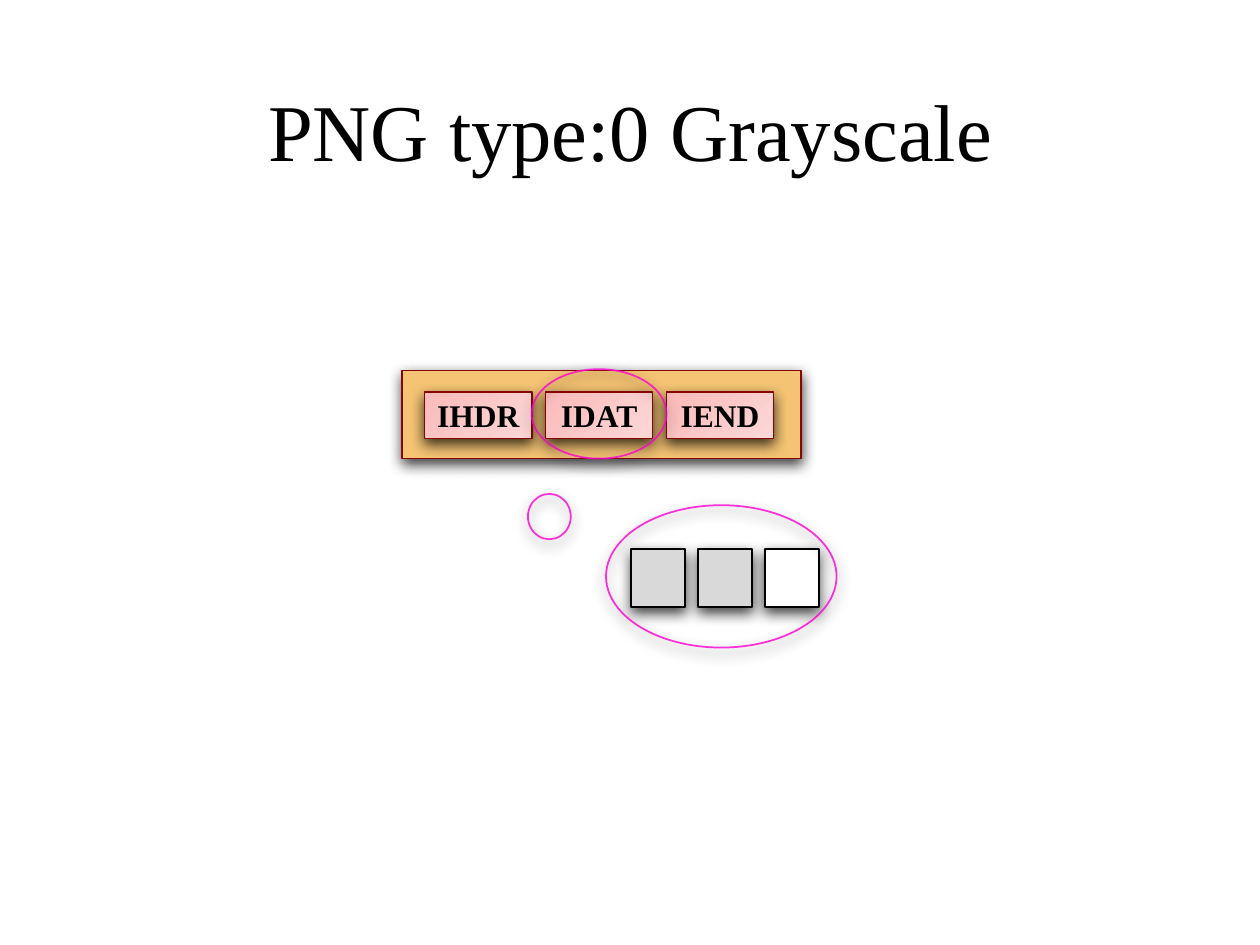
from lxml.etree import SubElement
from pptx import Presentation
from pptx.dml.color import RGBColor
from pptx.enum.shapes import MSO_SHAPE as SHAPE
from pptx.enum.text import MSO_ANCHOR as ANCHOR, PP_ALIGN as ALIGN
from pptx.oxml.ns import qn
from pptx.util import Inches, Pt

COLORS = {
    "text": "000000", "pixel_line": "000000", "shadow": "000000",
    "gray": "D9D9D9", "white": "FFFFFF",
    "file": "F4C373", "file_line": "860605",
    "chunk_light": "FCD7D7", "chunk_dark": "FBBABA",
    "highlight": "FF00D3",
}
FONT = "Times New Roman"

TITLE = "PNG type:0 Grayscale"
TITLE_BOX = (1, 0.55, 8, 0.95)
PIXELS = ["gray", "gray", "white"]
PIXEL_BOX, PIXEL_STEP = (5.01, 4.36, 0.43, 0.46), 0.53
FILE_BOX = (3.19, 2.94, 3.17, 0.7)
CHUNKS = ["IHDR", "IDAT", "IEND"]
CHUNK_BOX, CHUNK_STEP = (3.37, 3.11, 0.85, 0.37), 0.96
HIGHLIGHTS = [
    (4.22, 2.93, 1.07, 0.71),
    (4.19, 3.92, 0.34, 0.36),
    (4.81, 4.01, 1.83, 1.13),
]


def rgb(name):
    return RGBColor.from_string(COLORS[name])


def shifted(box, step, i):
    left, *rest = box
    return (left + i * step, *rest)


def add_alpha(color_el, percent):
    SubElement(color_el, qn("a:alpha"), val=str(percent * 1000))


def add_shadow(s):
    s.shadow.inherit = False
    effects = s._element.spPr.find(qn("a:effectLst"))
    outer = SubElement(effects, qn("a:outerShdw"), blurRad=str(Pt(8)),
                       dist=str(Pt(3)), dir=str(90 * 60000), rotWithShape="0")
    add_alpha(SubElement(outer, qn("a:srgbClr"), val=COLORS["shadow"]), 75)


def add_outlined(kind, box, line, fill=None):
    s = slide.shapes.add_shape(kind, *map(Inches, box))
    if fill:
        s.fill.solid()
        s.fill.fore_color.rgb = rgb(fill)
    else:
        s.fill.background()
    s.line.color.rgb = rgb(line)
    s.line.width = Pt(1)
    add_shadow(s)
    return s


def fill_radial(s):
    """Spread the chunk colours outwards from the bottom right corner."""
    s.fill.gradient()
    for stop, position, name in zip(s.fill.gradient_stops, (0, 1),
                                    ("chunk_light", "chunk_dark")):
        stop.position = position
        stop.color.rgb = rgb(name)
    grad = s._element.spPr.find(qn("a:gradFill"))
    lin = grad.find(qn("a:lin"))
    if lin is not None:
        grad.remove(lin)
    circle = SubElement(grad, qn("a:path"), path="circle")
    SubElement(circle, qn("a:fillToRect"), l="100000", t="100000", r="0", b="0")


def write(s, text, wrap, **font):
    tf = s.text_frame
    tf.word_wrap = wrap
    tf.vertical_anchor = ANCHOR.MIDDLE
    p = tf.paragraphs[0]
    p.alignment = ALIGN.CENTER
    r = p.add_run()
    r.text = text
    r.font.color.rgb = rgb("text")
    for key, value in {"name": FONT, **font}.items():
        setattr(r.font, key, value)


prs = Presentation()
prs.slide_width, prs.slide_height = Inches(10), Inches(7.5)
slide = prs.slides.add_slide(prs.slide_layouts[6])

write(slide.shapes.add_textbox(*map(Inches, TITLE_BOX)), TITLE, True, size=Pt(46))

for i, shade in enumerate(PIXELS):
    add_outlined(SHAPE.RECTANGLE, shifted(PIXEL_BOX, PIXEL_STEP, i), "pixel_line", shade)

add_outlined(SHAPE.RECTANGLE, FILE_BOX, "file_line", "file")
for i, name in enumerate(CHUNKS):
    chunk = add_outlined(SHAPE.RECTANGLE, shifted(CHUNK_BOX, CHUNK_STEP, i), "file_line")
    fill_radial(chunk)
    write(chunk, name, False, size=Pt(18), bold=True)

for box in HIGHLIGHTS:
    ring = add_outlined(SHAPE.OVAL, box, "highlight")
    add_alpha(ring.line._ln.find(".//" + qn("a:srgbClr")), 80)

prs.save("out.pptx")
